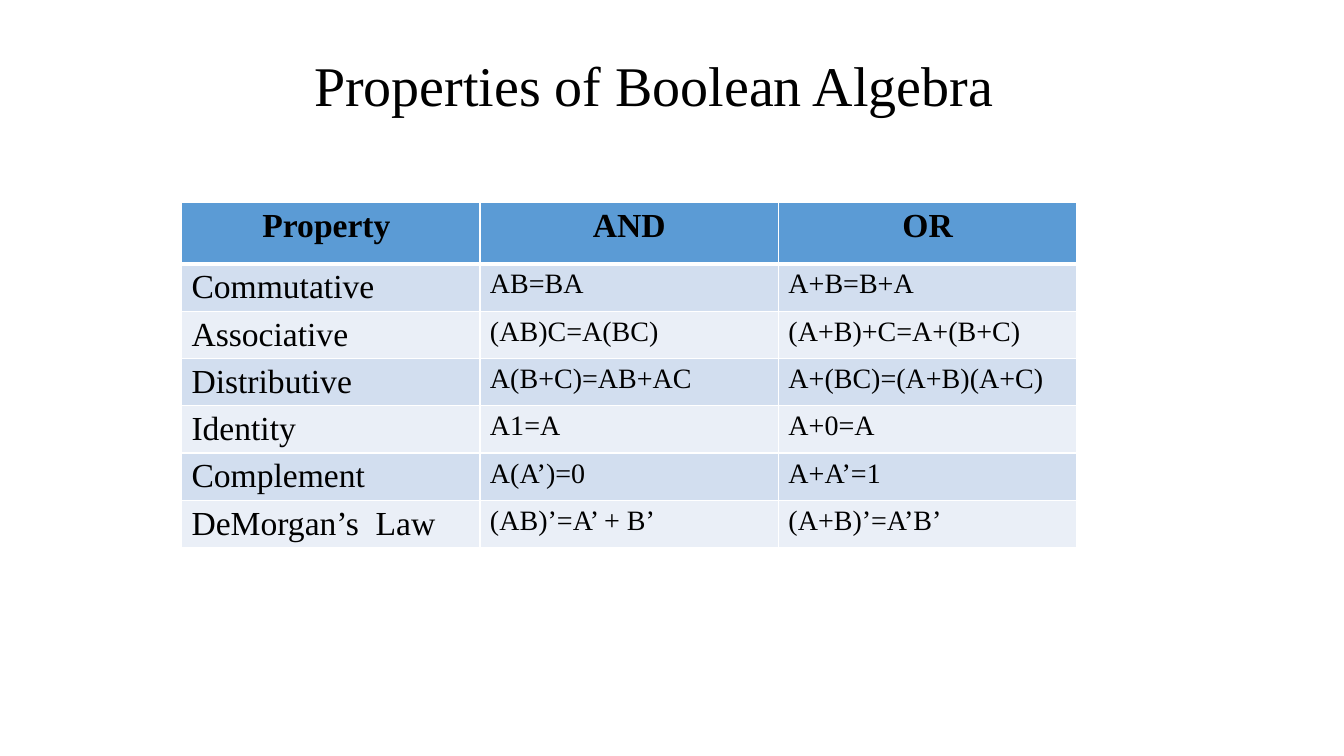
from lxml import etree
from pptx import Presentation
from pptx.dml.color import RGBColor
from pptx.enum.text import MSO_ANCHOR, MSO_AUTO_SIZE, PP_ALIGN
from pptx.oxml.ns import qn
from pptx.util import Pt

CENTER, LEFT = PP_ALIGN.CENTER, PP_ALIGN.LEFT
BOTTOM = MSO_ANCHOR.BOTTOM
NO_AUTOFIT = MSO_AUTO_SIZE.NONE

BLACK = RGBColor(0x00, 0x00, 0x00)
WHITE = RGBColor(0xFF, 0xFF, 0xFF)
HEADER_BLUE = RGBColor(0x5B, 0x9B, 0xD5)
BANDS = (RGBColor(0xD2, 0xDE, 0xEF), RGBColor(0xEA, 0xEF, 0xF7))

FONT = "Times New Roman"
TITLE_ONLY = 5
HEADER_HEIGHT, ROW_HEIGHT = 43.8, 29.2

PROPERTIES = [
    ("Property ", "AND", "OR"),
    ("Commutative", "AB=BA", "A+B=B+A"),
    ("Associative", "(AB)C=A(BC)", "(A+B)+C=A+(B+C)"),
    ("Distributive", "A(B+C)=AB+AC", "A+(BC)=(A+B)(A+C)"),
    ("Identity", "A1=A", "A+0=A"),
    ("Complement", "A(A’)=0", "A+A’=1"),
    ("DeMorgan’s  Law", "(AB)’=A’ + B’", "(A+B)’=A’B’"),
]


def write(p, text, size, align, bold=False):
    p.alignment = align
    r = p.add_run()
    r.text = text
    r.font.name = FONT
    r.font.size = Pt(size)
    r.font.bold = bold
    r.font.color.rgb = BLACK


def set_borders(cell, widths):
    """Draw white cell borders; widths are left, right, top, bottom."""
    tcPr = cell._tc.get_or_add_tcPr()
    for side, width in zip("LRTB", widths):
        ln = etree.SubElement(tcPr, qn(f"a:ln{side}"), w=str(Pt(width)))
        fill = etree.SubElement(ln, qn("a:solidFill"))
        etree.SubElement(fill, qn("a:srgbClr"), val=str(WHITE))


def add_title(s, left, top, width, height):
    sp = s.shapes.title
    sp.left, sp.top, sp.width, sp.height = Pt(left), Pt(top), Pt(width), Pt(height)
    tf = sp.text_frame
    tf.word_wrap = True
    tf.auto_size = NO_AUTOFIT
    tf.vertical_anchor = BOTTOM
    p = tf.paragraphs[0]
    p.line_spacing = 0.9
    write(p, "Properties of Boolean Algebra", 40, CENTER)


def add_properties_table(s, left, top, width):
    rows, cols = len(PROPERTIES), len(PROPERTIES[0])
    height = HEADER_HEIGHT + (rows - 1) * ROW_HEIGHT
    table = s.shapes.add_table(rows, cols, Pt(left), Pt(top),
                               Pt(width), Pt(height)).table
    for column in table.columns:
        column.width = Pt(width / cols)
    for i, values in enumerate(PROPERTIES):
        header = i == 0
        table.rows[i].height = Pt(HEADER_HEIGHT if header else ROW_HEIGHT)
        for j, text in enumerate(values):
            cell = table.cell(i, j)
            # The rule under the header is heavier than the rest
            set_borders(cell, (1, 1, 3 if i == 1 else 1, 3 if header else 1))
            cell.fill.solid()
            cell.fill.fore_color.rgb = HEADER_BLUE if header else BANDS[(i - 1) % 2]
            write(cell.text_frame.paragraphs[0], text,
                  24 if header or j == 0 else 20,
                  CENTER if header else LEFT, bold=header)


def main():
    prs = Presentation()
    prs.slide_width, prs.slide_height = Pt(960), Pt(540)
    s = prs.slides.add_slide(prs.slide_layouts[TITLE_ONLY])
    s.background.fill.solid()
    s.background.fill.fore_color.rgb = WHITE

    # Title
    add_title(s, 32.4, -1.4, 869, 90)
    # Laws for AND and OR
    add_properties_table(s, 129.6, 144.7, 639.6)

    prs.save("out.pptx")


if __name__ == "__main__":
    main()
